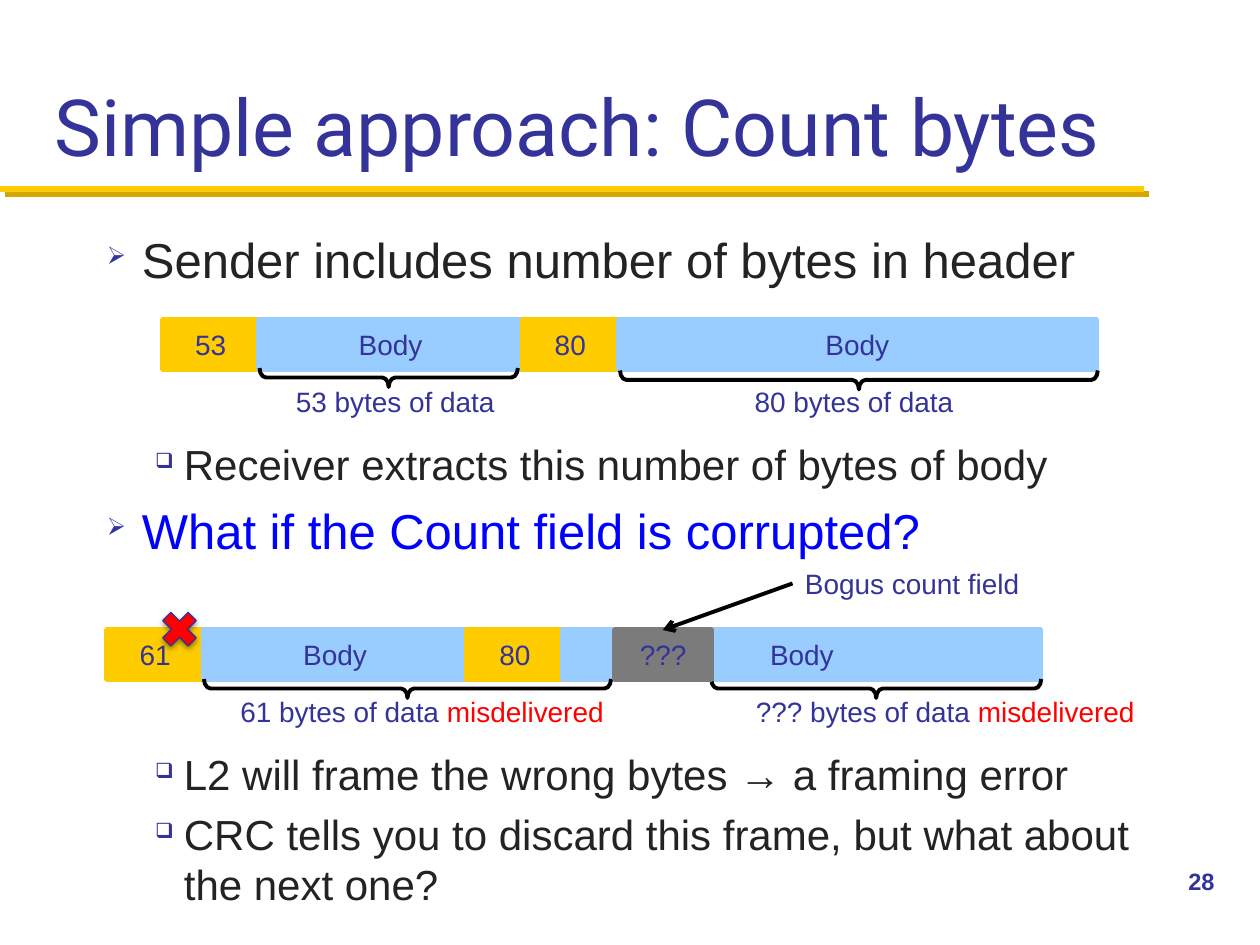
from lxml import etree
from pptx import Presentation
from pptx.dml.color import RGBColor
from pptx.enum.shapes import MSO_CONNECTOR, MSO_SHAPE
from pptx.enum.text import MSO_ANCHOR, PP_ALIGN
from pptx.oxml.ns import qn
from pptx.util import Pt

COLORS = {
    "navy": "333399", "ink": "232323", "blue": "0000FF", "red": "FF0000",
    "gold": "FFCB05", "gold_shade": "D3A600", "header": "FFCC00",
    "body": "99CCFF", "bogus": "7B7B7B", "black": "000000",
}
CELL_HEIGHT = 28
FRAME_WIDTHS = [55, 150.5, 55, 273]
LABEL_TOP = 33.1

# Text, level, colour, space before
POINTS = [
    ("Sender includes number of bytes in header", 0, "ink", 0),
    ("Receiver extracts this number of bytes of body", 1, "ink", 86),
    ("What if the Count field is corrupted?", 0, "blue", 6.5),
    ("L2 will frame the wrong bytes → a framing error", 1, "ink", 108),
    ("CRC tells you to discard this frame, but what about the next one?", 1, "ink", 5.5),
]
# Level: size, left margin, hanging indent, bullet
LEVELS = [(28, 20, 20, "➢"), (24, 44, 16.5, "❑")]


def rgb(name):
    return RGBColor.from_string(COLORS[name])


def style_font(font, color, **values):
    for key, value in {"name": "Arial", "size": Pt(16), **values}.items():
        setattr(font, key, value)
    font.color.rgb = rgb(color)


def add_effects(item, color=None, **shadow):
    """Replace the theme shadow by the given one, or by none."""
    properties = item._element.spPr
    effects = etree.SubElement(properties, qn("a:effectLst"))
    if color:
        alpha = shadow.pop("alpha")
        outer = etree.SubElement(effects, qn("a:outerShdw"), rotWithShape="0",
                                 **{key: str(value) for key, value in shadow.items()})
        shade = etree.SubElement(outer, qn("a:srgbClr"), val=COLORS[color])
        etree.SubElement(shade, qn("a:alpha"), val=str(alpha * 1000))


def add_line(shapes, start, end, color, width):
    line = shapes.add_connector(MSO_CONNECTOR.STRAIGHT, *map(Pt, start + end))
    line.line.color.rgb = rgb(color)
    line.line.width = Pt(width)
    return line


def add_text(shapes, box, runs, wrap=False, anchor=MSO_ANCHOR.TOP, **font):
    frame = shapes.add_textbox(*map(Pt, box)).text_frame
    frame.word_wrap = wrap
    frame.vertical_anchor = anchor
    for text, color in runs:
        run = frame.paragraphs[0].add_run()
        run.text = text
        style_font(run.font, color, **font)


def add_cell(shapes, box, text, color):
    cell = shapes.add_shape(MSO_SHAPE.RECTANGLE, *map(Pt, box))
    cell.shadow.inherit = False
    cell.fill.solid()
    cell.fill.fore_color.rgb = cell.line.color.rgb = rgb(color)
    cell.line.width = Pt(3)
    frame = cell.text_frame
    frame.word_wrap = False
    frame.vertical_anchor = MSO_ANCHOR.MIDDLE
    frame.text = text
    frame.paragraphs[0].alignment = PP_ALIGN.CENTER
    style_font(frame.paragraphs[0].runs[0].font, color="navy")


def add_brace(shapes, left, top, span):
    """Brace below a span, its tip pointing down."""
    depth = 10.8
    shift = (span - depth) / 2
    brace = shapes.add_shape(MSO_SHAPE.LEFT_BRACE, Pt(left + shift), Pt(top - shift),
                             Pt(depth), Pt(span))
    brace.rotation = 270
    brace.adjustments[0] = 0.343
    brace.shadow.inherit = False
    brace.fill.background()
    brace.line.color.rgb = rgb("black")
    brace.line.width = Pt(2.25)


def add_frames(shapes, left, top, texts, braces, labels):
    """Row of count and body cells with braces and labels below."""
    x = left
    for index, (text, width) in enumerate(zip(texts, FRAME_WIDTHS)):
        add_cell(shapes, (x, top, width, CELL_HEIGHT), text, ("header", "body")[index % 2])
        x += width
    for offset, drop, span in braces:
        add_brace(shapes, left + offset, top + drop, span)
    for offset, width, runs in labels:
        add_text(shapes, (left + offset, top + LABEL_TOP, width, 26.6), runs)


def add_heading(slide, left, top, width, height):
    rule_y = top + height + 5.8
    rule = add_line(slide.shapes, (0, rule_y), (653.8, rule_y), "gold", 3.5)
    add_effects(rule, "gold_shade", alpha=100, dist=Pt(4.2), dir=45 * 60000, algn="ctr")
    add_text(slide.shapes, (left, top, width, height),
             [("Simple approach: Count bytes", "navy")], wrap=True,
             anchor=MSO_ANCHOR.BOTTOM, name="Roboto", size=Pt(45))


def add_points(slide, left, top, width, height):
    frame = slide.shapes.add_textbox(*map(Pt, (left, top, width, height))).text_frame
    frame.word_wrap = True
    for index, (text, level, color, gap) in enumerate(POINTS):
        size, margin, hang, bullet = LEVELS[level]
        point = frame.paragraphs[0] if index == 0 else frame.add_paragraph()
        point.level = level
        if gap:
            point.space_before = Pt(gap)
        properties = point._p.get_or_add_pPr()
        properties.set("marL", str(Pt(margin)))
        properties.set("indent", str(-Pt(hang)))
        bullet_color = etree.SubElement(properties, qn("a:buClr"))
        etree.SubElement(bullet_color, qn("a:srgbClr"), val=COLORS["navy"])
        etree.SubElement(properties, qn("a:buSzPct"), val="50000")
        etree.SubElement(properties, qn("a:buChar"), char=bullet)
        run = point.add_run()
        run.text = text
        style_font(run.font, color, size=Pt(size))


def add_correct_frames(slide, left, top):
    add_frames(slide.shapes.add_group_shape().shapes, left, top,
               ["53", "Body", "80", "Body"],
               [(55.4, 27.4, 147.6), (261.4, 28.8, 273)],
               [(69.1, 129.6, [("53 bytes of data", "navy")]),
                (331.2, 129.6, [("80 bytes of data", "navy")])])


def add_corrupted_frames(slide, left, top):
    shapes = slide.shapes.add_group_shape().shapes
    add_frames(shapes, left, top, ["61", "Body", "80", "Body"],
               [(55.4, 28, 232.6), (345.2, 28, 188.6)],
               [(69.1, 224.6, [("61 bytes of data ", "navy"), ("misdelivered", "red")]),
                (363.6, 234, [("??? bytes of data ", "navy"), ("misdelivered", "red")])])

    # Cross on the corrupted count
    cross = shapes.add_shape(MSO_SHAPE.MATH_MULTIPLY, Pt(left + 27.4), Pt(top - 14.4),
                             Pt(28), Pt(28))
    cross.fill.solid()
    cross.fill.fore_color.rgb = rgb("red")
    cross.line.color.rgb = rgb("navy")
    cross.line.width = Pt(0.75)
    add_effects(cross, "black", alpha=38, blurRad=Pt(3.1), dist=Pt(1.6), dir=90 * 60000)

    # Bogus count with its callout
    add_cell(shapes, (left + 290.2, top, 55, CELL_HEIGHT), "???", "bogus")
    add_text(shapes, (left + 391.7, top - 39.6, 138.2, 26.6), [("Bogus count field", "navy")])
    arrow = add_line(shapes, (left + 391.7, top - 26.6), (left + 317.5, top), "black", 2.25)
    etree.SubElement(arrow.line._get_or_add_ln(), qn("a:tailEnd"), type="arrow")
    add_effects(arrow)


def main():
    deck = Presentation()
    deck.slide_width, deck.slide_height = Pt(720), Pt(540)
    slide = deck.slides.add_slide(deck.slide_layouts[6])
    add_heading(slide, 24, 12.2, 672, 90)
    add_points(slide, 54, 127.5, 624, 348)
    add_text(slide.shapes, (672, 492, 48, 36), [("28", "navy")], wrap=True,
             size=Pt(13.5), bold=True)
    add_correct_frames(slide, 92.9, 182.9)
    add_corrupted_frames(slide, 61.2, 360)
    deck.save("out.pptx")


if __name__ == "__main__":
    main()
